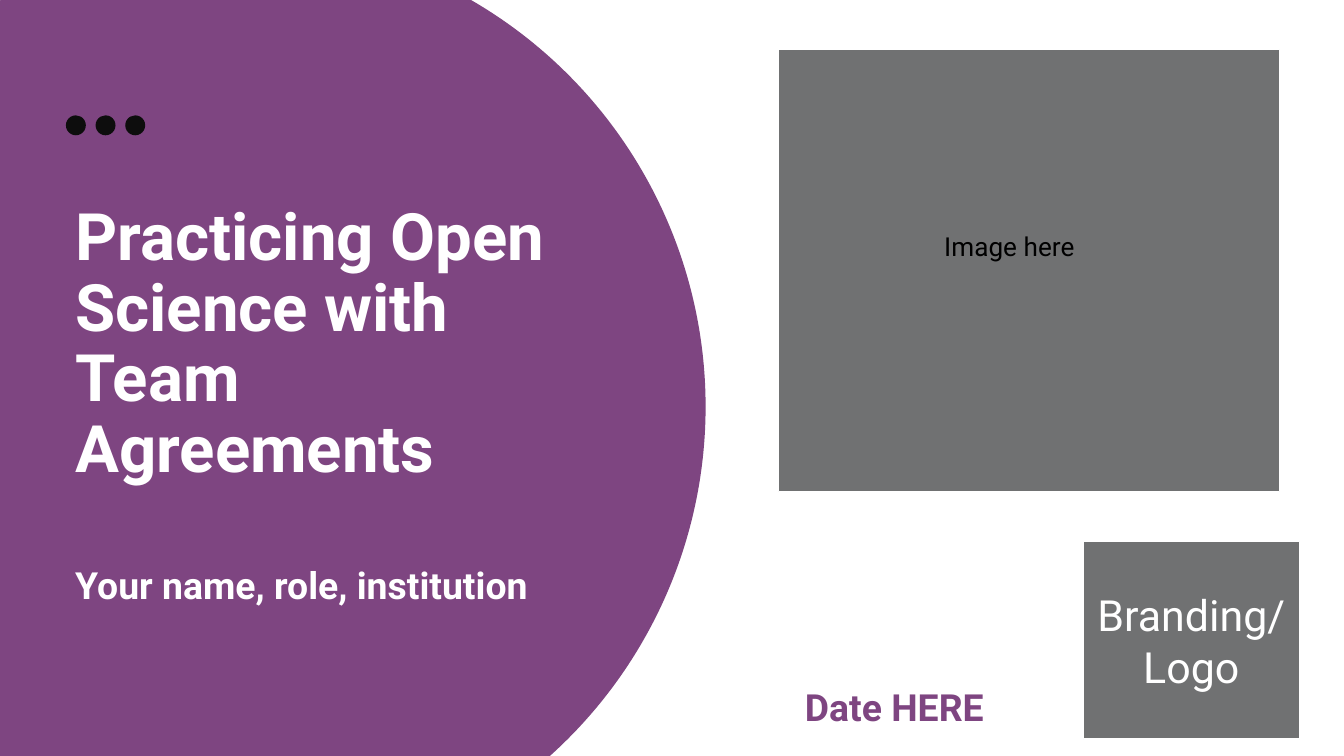
from dataclasses import dataclass

from lxml.etree import SubElement
from pptx import Presentation
from pptx.dml.color import RGBColor
from pptx.enum.shapes import MSO_SHAPE
from pptx.enum.text import MSO_ANCHOR, PP_ALIGN
from pptx.oxml.ns import qn
from pptx.shapes.autoshape import Shape
from pptx.slide import Slide
from pptx.util import Pt

PURPLE = RGBColor(0x7E, 0x45, 0x81)
GRAY = RGBColor(0x36, 0x37, 0x39)
INK = RGBColor(0x0D, 0x0D, 0x0D)
BLACK = RGBColor(0, 0, 0)
WHITE = RGBColor(0xFF, 0xFF, 0xFF)
FONT = "Roboto"
DOT, PITCH = 10.7, 15.9


@dataclass
class Box:
    left: float
    top: float
    width: float
    height: float

    def place(self) -> list[Pt]:
        return [Pt(v) for v in (self.left, self.top, self.width, self.height)]


@dataclass
class Line:
    text: str
    size: float
    color: RGBColor = WHITE
    bold: bool = False
    align: PP_ALIGN = PP_ALIGN.LEFT
    before: float = 0
    spacing: float = 1.0


def draw(slide: Slide, kind: MSO_SHAPE, box: Box, color: RGBColor) -> Shape:
    shape = slide.shapes.add_shape(kind, *box.place())
    shape.shadow.inherit = False
    shape.fill.solid()
    shape.fill.fore_color.rgb = color
    shape.line.fill.background()
    return shape


def panel(slide: Slide, box: Box) -> Shape:
    """Draw a see-through gray rectangle with a white edge."""
    shape = draw(slide, MSO_SHAPE.RECTANGLE, box, GRAY)
    color = shape.fill._xPr.find(".//" + qn("a:srgbClr"))
    SubElement(color, qn("a:alpha"), val="71000")
    shape.line.color.rgb = WHITE
    shape.line.width = Pt(0.75)
    return shape


def write(shape: Shape, lines: list[Line], inset: float = 7.2,
          anchor: MSO_ANCHOR = MSO_ANCHOR.MIDDLE) -> None:
    frame = shape.text_frame
    frame.word_wrap = True
    frame.vertical_anchor = anchor
    frame.margin_left = frame.margin_right = Pt(inset)
    frame.margin_top = frame.margin_bottom = Pt(inset)
    for i, line in enumerate(lines):
        para = frame.add_paragraph() if i else frame.paragraphs[0]
        para.text = line.text
        para.alignment = line.align
        para.line_spacing = line.spacing
        para.space_before = Pt(line.before)
        para.font.name = FONT
        para.font.size = Pt(line.size)
        para.font.bold = line.bold
        para.font.color.rgb = line.color


def label(slide: Slide, box: Box, lines: list[Line], inset: float = 7.2,
          anchor: MSO_ANCHOR = MSO_ANCHOR.MIDDLE) -> None:
    write(slide.shapes.add_textbox(*box.place()), lines, inset, anchor)


def main() -> None:
    deck = Presentation()
    deck.slide_width, deck.slide_height = Pt(720), Pt(405)
    slide = deck.slides.add_slide(deck.slide_layouts[6])

    disc = draw(slide, MSO_SHAPE.CHORD, Box(-125.3, -33.8, 503.3, 503.3), PURPLE)
    disc.adjustments[0], disc.adjustments[1] = 143.85, 72.08
    for i in range(3):
        draw(slide, MSO_SHAPE.OVAL, Box(35.3 + i * PITCH, 61.8, DOT, DOT), INK)

    label(slide, Box(40.3, 144.7, 275, 145.4), [
        Line("Practicing Open Science with Team Agreements", 35,
             bold=True, spacing=0.9),
        Line("Your name, role, institution", 20,
             bold=True, before=43.2, spacing=0.9),
    ], inset=0)
    label(slide, Box(424.1, 359.3, 167, 25.2),
          [Line("Date HERE", 20, PURPLE, bold=True)], anchor=MSO_ANCHOR.TOP)

    panel(slide, Box(417, 26.6, 268.6, 236.9))
    logo = panel(slide, Box(580.3, 290.2, 115.9, 105.8))
    write(logo, [Line(text, 23, align=PP_ALIGN.CENTER)
                 for text in ("Branding/", "Logo")])
    label(slide, Box(463, 94.3, 155.5, 74.9),
          [Line("Image here", 14, BLACK, align=PP_ALIGN.CENTER)])

    deck.save("out.pptx")


if __name__ == "__main__":
    main()
